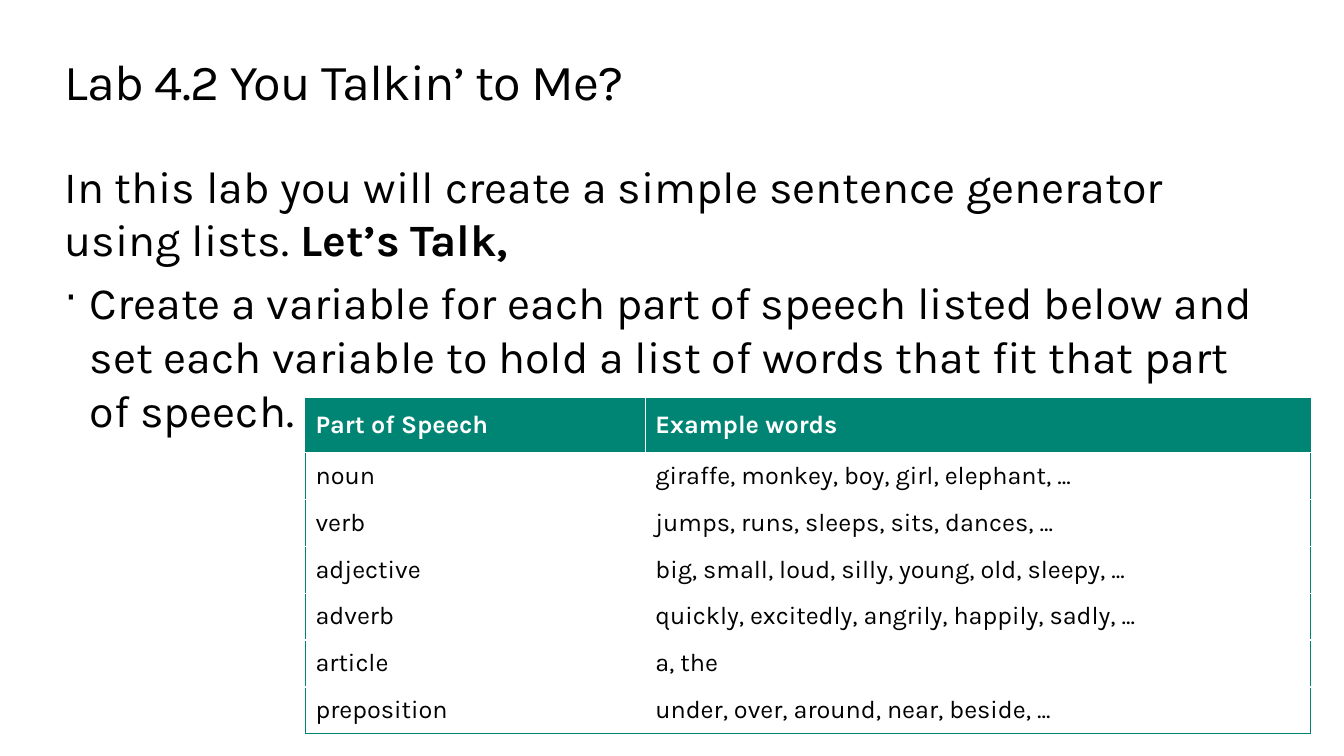
from dataclasses import dataclass

from lxml import etree
from pptx import Presentation
from pptx import util as u
from pptx.dml import color
from pptx.enum import text as t
from pptx.oxml import ns

FONT = "Karla"
COLORS = {"ink": "000000", "head": "008575", "light": "FFFFFF"}


@dataclass
class Entry:
    label: str
    words: str


ENTRIES = [
    Entry("Part of Speech", "Example words"),
    Entry("noun", "giraffe, monkey, boy, girl, elephant, ..."),
    Entry("verb", "jumps, runs, sleeps, sits, dances, ..."),
    Entry("adjective", "big, small, loud, silly, young, old, sleepy, ..."),
    Entry("adverb", "quickly, excitedly, angrily, happily, sadly, ..."),
    Entry("article", "a, the"),
    Entry("preposition", "under, over, around, near, beside, ..."),
]


def hue(name: str) -> color.RGBColor:
    return color.RGBColor.from_string(COLORS[name])


def write(para, words: str, *, size: float, ink: str = "ink",
          bold: bool = False, track: int = 0) -> None:
    run = para.add_run()
    run.text = words
    run.font.name = FONT
    run.font.size = u.Pt(size)
    run.font.bold = bold
    run.font.color.rgb = hue(ink)
    if track:
        run._r.get_or_add_rPr().set("spc", str(track))


def add_box(slide, left: float, top: float, width: float, height: float):
    box = slide.shapes.add_textbox(
        u.Inches(left), u.Inches(top), u.Inches(width), u.Inches(height))
    frame = box.text_frame
    frame.word_wrap = True
    frame.margin_left = frame.margin_right = 0
    frame.margin_top = frame.margin_bottom = 0
    return frame


def add_bullet(para, mark: str, indent: float, scale: int) -> None:
    props = para._p.get_or_add_pPr()
    props.set("marL", str(u.Inches(indent)))
    props.set("indent", str(-u.Inches(indent)))
    etree.SubElement(props, ns.qn("a:buSzPct"), val=str(scale * 1000))
    etree.SubElement(props, ns.qn("a:buChar"), char=mark)


def add_edge(cell, side: str) -> None:
    props = cell._tc.get_or_add_tcPr()
    line = etree.SubElement(props, ns.qn(f"a:ln{side}"), w=str(u.Pt(0.75)))
    fill = etree.SubElement(line, ns.qn("a:solidFill"))
    etree.SubElement(fill, ns.qn("a:srgbClr"), val=COLORS["head"])


def fill_cell(cell, words: str, head: bool, sides: str) -> None:
    cell.vertical_anchor = t.MSO_ANCHOR.MIDDLE
    cell.margin_left = cell.margin_right = u.Inches(0.1)
    cell.margin_top = cell.margin_bottom = u.Inches(0.05 if head else 0.03)
    for side in sides:
        add_edge(cell, side)
    if head:
        cell.fill.solid()
        cell.fill.fore_color.rgb = hue("head")
    else:
        cell.fill.background()
    write(cell.text_frame.paragraphs[0], words, size=18, bold=head,
          ink="light" if head else "ink")


def add_grid(slide, entries: list[Entry]) -> None:
    height, top = 3.33, 0.54
    last = len(entries) - 1
    grid = slide.shapes.add_table(
        len(entries), 2, u.Inches(3.03), u.Inches(3.95),
        u.Inches(9.97), u.Inches(height)).table
    grid.first_row = grid.horz_banding = False
    for col, width in zip(grid.columns, (3.37, 6.6)):
        col.width = u.Inches(width)
    for i, entry in enumerate(entries):
        grid.rows[i].height = u.Inches(top if i == 0 else (height - top) / last)
        ends = "T" if i == 0 else "B" if i == last else ""
        fill_cell(grid.cell(i, 0), entry.label, i == 0, "L" + ends)
        fill_cell(grid.cell(i, 1), entry.words, i == 0, "R" + ends)


def main() -> None:
    deck = Presentation()
    deck.slide_width, deck.slide_height = u.Inches(13.33), u.Inches(7.5)
    slide = deck.slides.add_slide(deck.slide_layouts[6])

    # Title
    title = add_box(slide, 0.64, 0.5, 12.05, 0.61)
    write(title.paragraphs[0], "Lab 4.2 You Talkin’ to Me?", size=36, track=-50)

    # Task
    body = add_box(slide, 0.64, 1.57, 12.05, 5.09)
    intro, step = body.paragraphs[0], body.add_paragraph()
    intro.space_before = step.space_before = u.Pt(6.4)
    write(intro, "In this lab you will create a simple sentence generator "
          "using lists. ", size=32)
    write(intro, "Let’s Talk,", size=32, bold=True)
    add_bullet(step, "·", indent=0.25, scale=90)
    write(step, "Create a variable for each part of speech listed below and "
          "set each variable to hold a list of words that fit that part of "
          "speech.", size=32)

    # Word table
    add_grid(slide, ENTRIES)

    deck.save("out.pptx")


if __name__ == "__main__":
    main()
